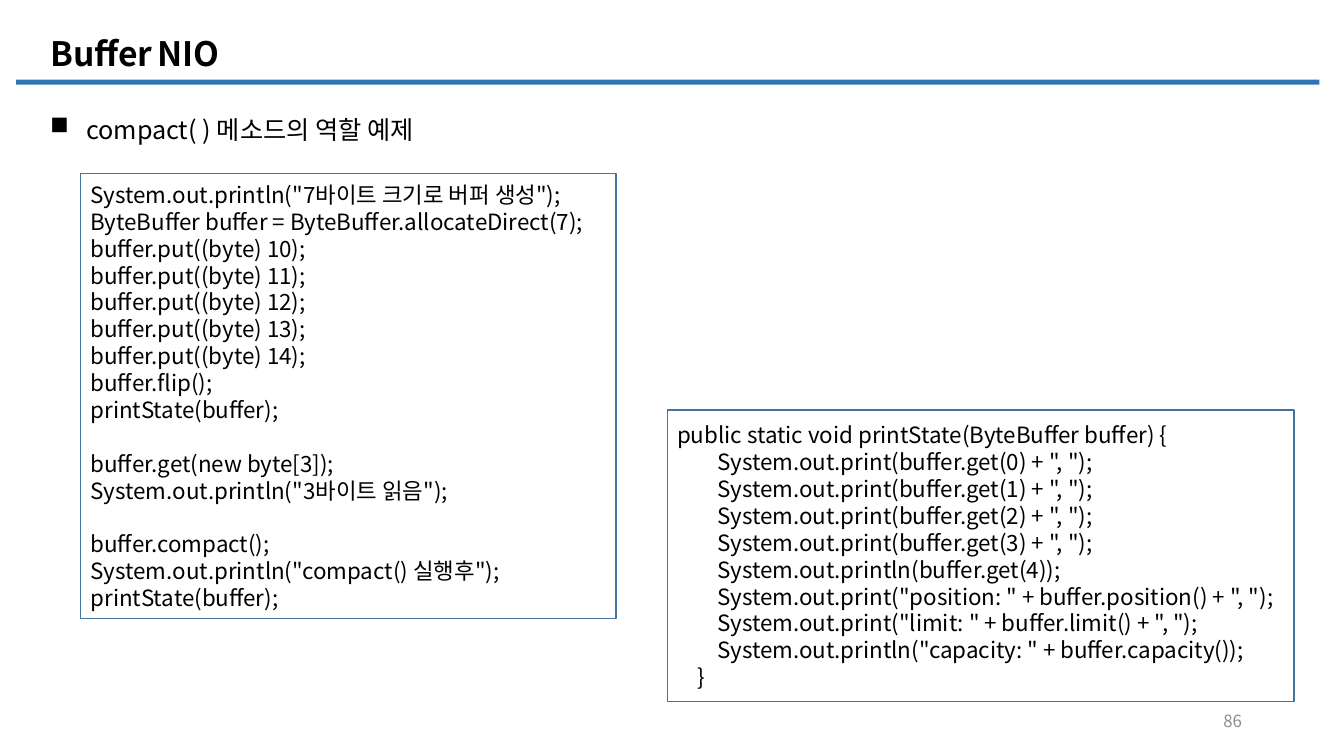
"""Build the slide on the compact() method of NIO buffers."""
from lxml import etree
from pptx import Presentation
from pptx.dml.color import RGBColor
from pptx.enum.shapes import MSO_SHAPE
from pptx.enum.text import MSO_ANCHOR, PP_ALIGN
from pptx.oxml.ns import qn
from pptx.util import Pt

RECTANGLE = MSO_SHAPE.RECTANGLE
TOP, MIDDLE = MSO_ANCHOR.TOP, MSO_ANCHOR.MIDDLE
LEFT, RIGHT = PP_ALIGN.LEFT, PP_ALIGN.RIGHT
BLACK = RGBColor(0x00, 0x00, 0x00)
WHITE = RGBColor(0xFF, 0xFF, 0xFF)
GRAY = RGBColor(0x8C, 0x8C, 0x8C)
RULE_BLUE = RGBColor(0x2E, 0x75, 0xB6)
BORDER_BLUE = RGBColor(0x43, 0x73, 0x9E)
FONT = "Noto Sans CJK KR"
CODE_PITCH = 19.2
INDENT_STEP = 14.3
BULLET_INDENT = 25.7


def add_rectangle(page, bounds, color):
    box = page.shapes.add_shape(RECTANGLE, *map(Pt, bounds))
    box.shadow.inherit = False
    box.fill.solid()
    box.fill.fore_color.rgb = color
    box.line.fill.background()
    return box


def write_para(para, text, color, font_format, para_format):
    for name, value in para_format.items():
        setattr(para, name, value)
    span = para.add_run()
    span.text = text
    for name, value in font_format.items():
        setattr(span.font, name, value)
    span.font.name = FONT
    span.font.color.rgb = color
    east_asian = etree.SubElement(span.font._element, qn("a:ea"))
    east_asian.set("typeface", FONT)


deck = Presentation()
deck.slide_width, deck.slide_height = Pt(960), Pt(540)
page = deck.slides.add_slide(deck.slide_layouts[6])

add_rectangle(page, (11.5, 56.9, 931, 3.6), RULE_BLUE)

title_font = {"size": Pt(24), "bold": True}
topic_para = {"alignment": LEFT, "line_spacing": Pt(21.6)}
labels = [
    ("Buffer", (28.8, 18.7, 685.4, 38.2), MIDDLE, BLACK, title_font, {"alignment": LEFT}),
    ("NIO", (105.1, 18.7, 685.4, 38.2), MIDDLE, BLACK, title_font, {"alignment": LEFT}),
    ("compact( ) 메소드의 역할 예제", (28.8, 77.8, 789.8, 28.8), TOP, BLACK,
     {"size": Pt(18)}, topic_para),
    ("86", (678.2, 500.4, 216, 28.8), MIDDLE, GRAY, {"size": Pt(12)}, {"alignment": RIGHT}),
]
for text, bounds, anchor, color, font_format, para_format in labels:
    box = page.shapes.add_textbox(*map(Pt, bounds))
    box.text_frame.word_wrap = True
    box.text_frame.vertical_anchor = anchor
    para = box.text_frame.paragraphs[0]
    write_para(para, text, color, font_format, para_format)
    if para_format is topic_para:
        properties = para._p.get_or_add_pPr()
        properties.set("marL", str(Pt(BULLET_INDENT)))
        properties.set("indent", str(-Pt(BULLET_INDENT)))
        bullet = etree.SubElement(properties, qn("a:buChar"))
        bullet.set("char", "■")

compact_blocks = [
    [
        'System.out.println("7바이트 크기로 버퍼 생성");',
        "ByteBuffer buffer = ByteBuffer.allocateDirect(7);",
        *[f"buffer.put((byte) {value});" for value in range(10, 15)],
        "buffer.flip();",
        "printState(buffer);",
    ],
    ["buffer.get(new byte[3]);", 'System.out.println("3바이트 읽음");'],
    ["buffer.compact();", 'System.out.println("compact() 실행후");', "printState(buffer);"],
]
compact_lines = [
    (line, 0, CODE_PITCH if block_index and not line_index else 0)
    for block_index, block in enumerate(compact_blocks)
    for line_index, line in enumerate(block)
]
print_lines = [
    ("public static void printState(ByteBuffer buffer) {", 0, 0),
    *[(f'System.out.print(buffer.get({index}) + ", ");', 2, 0) for index in range(4)],
    ("System.out.println(buffer.get(4));", 2, 0),
    ('System.out.print("position: " + buffer.position() + ", ");', 2, 0),
    ('System.out.print("limit: " + buffer.limit() + ", ");', 2, 0),
    ('System.out.println("capacity: " + buffer.capacity());', 2, 0),
    ("}", 1, 0),
]
code_boxes = [
    ((57.6, 123.8, 382.3, 318.2), compact_lines),
    ((476.6, 293, 447.8, 208.1), print_lines),
]
for bounds, lines in code_boxes:
    box = add_rectangle(page, bounds, WHITE)
    box.line.color.rgb = BORDER_BLUE
    box.line.width = Pt(1)
    frame = box.text_frame
    frame.word_wrap = True
    frame.vertical_anchor = MIDDLE
    for index, (line, level, gap) in enumerate(lines):
        para = frame.add_paragraph() if index else frame.paragraphs[0]
        para_format = {"alignment": LEFT, "line_spacing": Pt(CODE_PITCH), "space_before": Pt(gap)}
        write_para(para, line, BLACK, {"size": Pt(16)}, para_format)
        para._p.get_or_add_pPr().set("marL", str(Pt(level * INDENT_STEP)))

deck.save("out.pptx")
